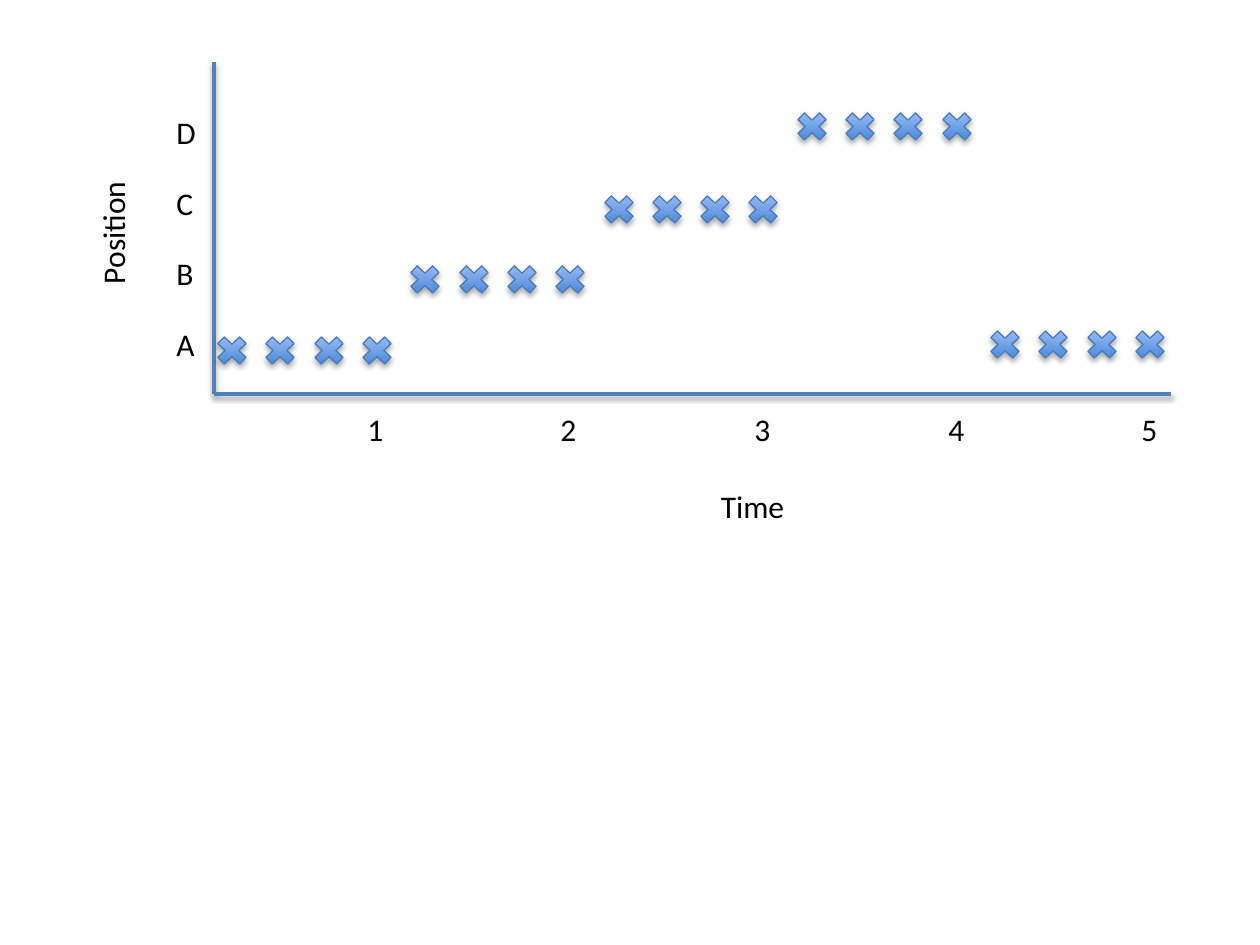
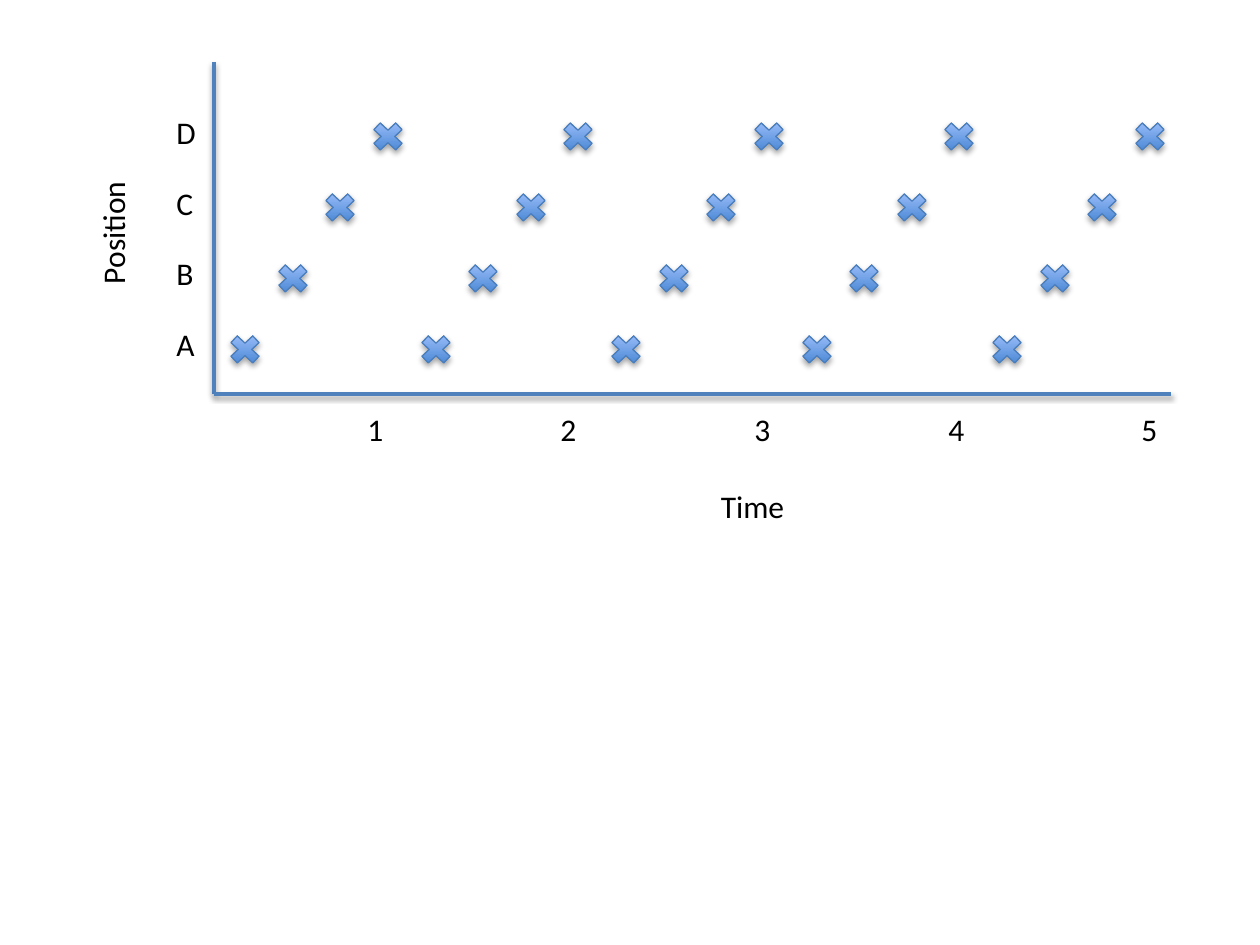
from pptx import Presentation
from pptx.dml.color import RGBColor
from pptx.enum.shapes import MSO_CONNECTOR, MSO_SHAPE
from pptx.enum.text import MSO_AUTO_SIZE, PP_ALIGN
from pptx.oxml import parse_xml
from pptx.oxml.ns import nsdecls
from pptx.util import Pt

STRAIGHT = MSO_CONNECTOR.STRAIGHT
CROSS = MSO_SHAPE.MATH_MULTIPLY
FIT_SHAPE = MSO_AUTO_SIZE.SHAPE_TO_FIT_TEXT
LEFT, CENTER = PP_ALIGN.LEFT, PP_ALIGN.CENTER
SCALE = 914400 / 126

THEME = {
    "text": {"name": "Calibri", "size": Pt(18)},
    "text_color": RGBColor.from_string("000000"),
    "axis_color": RGBColor.from_string("4F81BD"),
    "axis_width": Pt(2),
    "marker_line": RGBColor.from_string("4B7EBC"),
    "marker_width": Pt(0.75),
    "marker_gradient": [RGBColor.from_string(code) for code in ("3F80CE", "A4C4FF")],
    "axis_shadow": {"distance": 20000, "alpha": 38000},
    "marker_shadow": {"distance": 23000, "alpha": 35000},
}


def add_shadow(shape, distance, alpha):
    shape.element.spPr.append(parse_xml(
        f'<a:effectLst {nsdecls("a")}>'
        f'<a:outerShdw blurRad="40000" dist="{distance}" dir="5400000" rotWithShape="0">'
        f'<a:srgbClr val="000000"><a:alpha val="{alpha}"/></a:srgbClr>'
        '</a:outerShdw></a:effectLst>'))


def add_label(page, text, bounds, wrap=False, align=LEFT, rotation=0):
    box = page.shapes.add_textbox(*[round(length * SCALE) for length in bounds])
    box.rotation = rotation
    frame = box.text_frame
    for name, value in {"word_wrap": wrap, "auto_size": FIT_SHAPE}.items():
        setattr(frame, name, value)
    para = frame.paragraphs[0]
    para.alignment = align
    span = para.add_run()
    span.text = text
    for name, value in THEME["text"].items():
        setattr(span.font, name, value)
    span.font.color.rgb = THEME["text_color"]


deck = Presentation()
deck.slide_width = round(1260 * SCALE)
deck.slide_height = round(945 * SCALE)

AXES = [(214, 62, 214, 394), (1171, 394, 214, 394)]
POSITIONS = "DCBA"
MARKER_COUNT = 20
LAST_MARKER = 1129
PLOTS = [
    {"first": 211, "tops": [top for top in (331, 260, 190, 107, 325) for repeat in range(4)]},
    {"first": 224, "tops": [330 - 71 * row for row in range(4)] * 5},
]

for plot in PLOTS:
    page = deck.slides.add_slide(deck.slide_layouts[6])

    for ends in AXES:
        axis = page.shapes.add_connector(STRAIGHT, *[round(length * SCALE) for length in ends])
        axis.line.color.rgb = THEME["axis_color"]
        axis.line.width = THEME["axis_width"]
        add_shadow(axis, **THEME["axis_shadow"])

    add_label(page, "Position", (45, 203, 136, 51), wrap=True, rotation=270)
    add_label(page, "Time", (697, 481, 111, 51), wrap=True, align=CENTER)
    for row, position in enumerate(POSITIONS):
        add_label(page, position, (164, round(107 + row * 212 / 3), 44, 51))
    for column in range(5):
        add_label(page, str(column + 1), (round(355 + column * 193.5), 404, 42, 51))

    gap = (LAST_MARKER - plot["first"]) / (MARKER_COUNT - 1)
    for index, top in enumerate(plot["tops"]):
        bounds = (round(plot["first"] + index * gap), top, 42, 39)
        marker = page.shapes.add_shape(CROSS, *[round(length * SCALE) for length in bounds])
        marker.fill.gradient()
        marker.fill.gradient_angle = 90
        for stop, color in zip(marker.fill.gradient_stops, THEME["marker_gradient"]):
            stop.color.rgb = color
        marker.line.color.rgb = THEME["marker_line"]
        marker.line.width = THEME["marker_width"]
        add_shadow(marker, **THEME["marker_shadow"])

deck.save("out.pptx")
